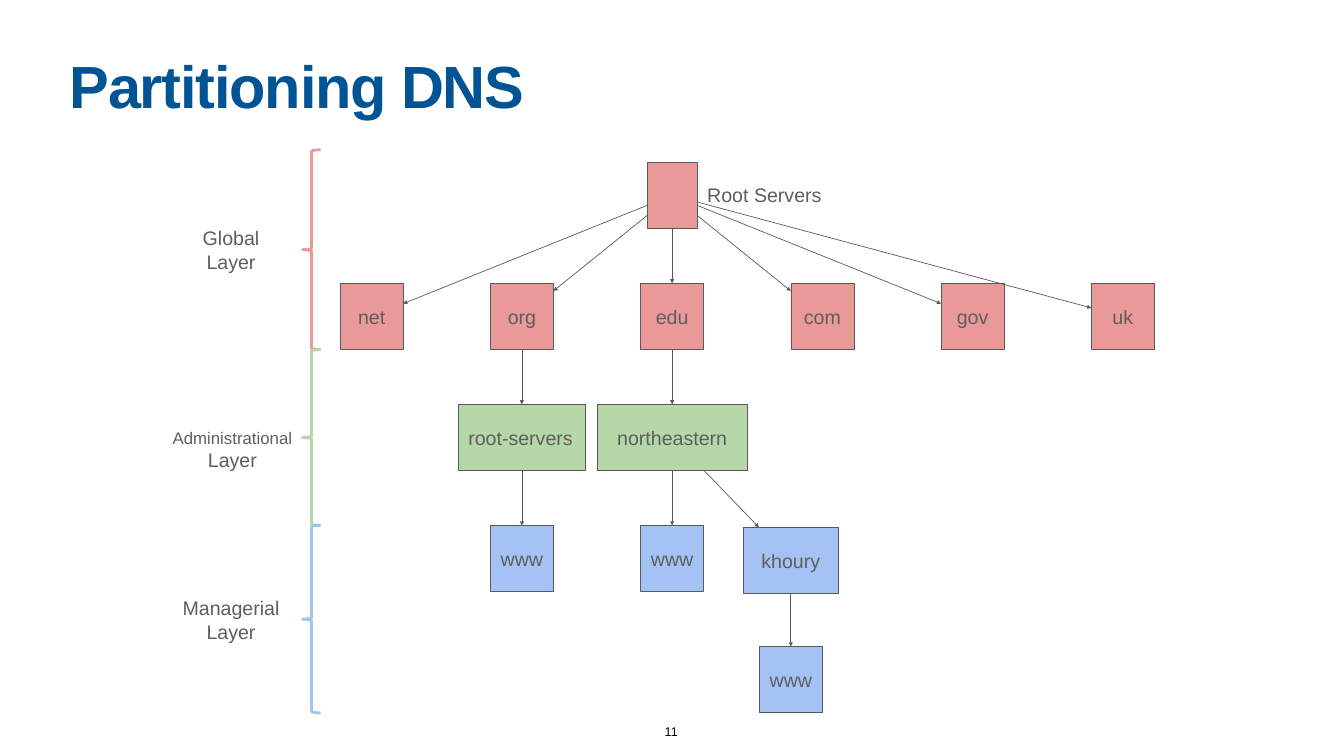
import dataclasses

import pptx
import pptx.dml.color
import pptx.enum.shapes
import pptx.enum.text
import pptx.oxml.ns
import pptx.util
from lxml import etree

Pt = pptx.util.Pt
ALIGN = pptx.enum.text.PP_ALIGN
ANCHOR = pptx.enum.text.MSO_ANCHOR
SHAPE = pptx.enum.shapes.MSO_SHAPE


@dataclasses.dataclass(frozen=True)
class Theme:
    font: str = "Arial"
    title: str = "005493"
    text: str = "5E5E5E"
    number: str = "000000"
    outline: str = "595959"
    red: str = "EA9999"
    green: str = "B6D7A8"
    blue: str = "A4C2F4"
    blue_brace: str = "9FC5E8"
    title_size: int = 85
    body_size: int = 28
    small_size: int = 24
    number_size: int = 18


THEME = Theme()
COLUMN_PITCH = 214.6
ROW_PITCH = 173
NODE_HEIGHT = 94.5
NODE_WIDTH = 90

# key: (label, column, row, width, colour, horizontal shift, vertical shift)
NODES = {
    "root": ("", 2, 0, 71.5, THEME.red),
    "net": ("net", 0, 1, NODE_WIDTH, THEME.red),
    "org": ("org", 1, 1, NODE_WIDTH, THEME.red),
    "edu": ("edu", 2, 1, NODE_WIDTH, THEME.red),
    "com": ("com", 3, 1, NODE_WIDTH, THEME.red),
    "gov": ("gov", 4, 1, NODE_WIDTH, THEME.red),
    "uk": ("uk", 5, 1, NODE_WIDTH, THEME.red),
    "root-servers": ("root-servers", 1, 2, 182, THEME.green),
    "northeastern": ("northeastern", 2, 2, 214.6, THEME.green),
    "org www": ("www", 1, 3, NODE_WIDTH, THEME.blue),
    "edu www": ("www", 2, 3, NODE_WIDTH, THEME.blue),
    "khoury": ("khoury", 2.79, 3.015, 134.6, THEME.blue),
    "khoury www": ("www", 2.79, 4, NODE_WIDTH, THEME.blue),
}
EDGES = [("root", name) for name in ("net", "org", "edu", "com", "gov", "uk")] + [
    ("org", "root-servers"),
    ("edu", "northeastern"),
    ("root-servers", "org www"),
    ("northeastern", "edu www"),
    ("northeastern", "khoury"),
    ("khoury", "khoury www"),
]


def rgb(colour):
    return pptx.dml.color.RGBColor.from_string(colour)


def add_run(paragraph, text, size, colour, bold=False):
    run = paragraph.add_run()
    run.text = text
    run.font.name = THEME.font
    run.font.size = Pt(size)
    run.font.bold = bold
    run.font.color.rgb = rgb(colour)
    return run


def set_frame(frame, anchor, side, edge):
    frame.word_wrap = True
    frame.auto_size = pptx.enum.text.MSO_AUTO_SIZE.NONE
    frame.vertical_anchor = anchor
    frame.margin_left = frame.margin_right = Pt(side)
    frame.margin_top = frame.margin_bottom = Pt(edge)


def write_lines(frame, lines, alignment, colour=THEME.text):
    for index, (text, size) in enumerate(lines):
        paragraph = frame.add_paragraph() if index else frame.paragraphs[0]
        paragraph.alignment = alignment
        add_run(paragraph, text, size, colour)


def add_label(slide, box, lines, alignment=ALIGN.CENTER, colour=THEME.text):
    shape = slide.shapes.add_textbox(*map(Pt, box))
    set_frame(shape.text_frame, ANCHOR.MIDDLE, 0, 0)
    write_lines(shape.text_frame, lines, alignment, colour)


def add_title(slide, box, text):
    title = slide.shapes.title
    title.left, title.top, title.width, title.height = map(Pt, box)
    set_frame(title.text_frame, ANCHOR.TOP, 4.3, 4.3)
    paragraph = title.text_frame.paragraphs[0]
    paragraph.alignment = ALIGN.LEFT
    paragraph.line_spacing = 0.8
    run = add_run(paragraph, text, THEME.title_size, THEME.title, bold=True)
    run.font._element.set("spc", "-170")


def add_node(slide, box, label, colour):
    shape = slide.shapes.add_shape(SHAPE.RECTANGLE, *map(Pt, box))
    shape.shadow.inherit = False
    shape.fill.solid()
    shape.fill.fore_color.rgb = rgb(colour)
    shape.line.color.rgb = rgb(THEME.outline)
    shape.line.width = Pt(1)
    if label:
        left_aligned = label == "root-servers"
        set_frame(shape.text_frame, ANCHOR.MIDDLE, 14.4 if left_aligned else 0, 0)
        alignment = ALIGN.LEFT if left_aligned else ALIGN.CENTER
        write_lines(shape.text_frame, [(label, THEME.body_size)], alignment)


def centre(box):
    left, top, width, height = box
    return left + width / 2, top + height / 2


def border_point(box, target):
    x, y = centre(box)
    run, rise = target[0] - x, target[1] - y
    scale = 1 / max(abs(run) / (box[2] / 2), abs(rise) / (box[3] / 2))
    return x + run * scale, y + rise * scale


def add_arrow(slide, parent, child):
    points = border_point(parent, centre(child)) + border_point(child, centre(parent))
    straight = pptx.enum.shapes.MSO_CONNECTOR.STRAIGHT
    connector = slide.shapes.add_connector(straight, *map(Pt, points))
    connector.line.color.rgb = rgb(THEME.outline)
    connector.line.width = Pt(1)
    qn = pptx.oxml.ns.qn
    etree.SubElement(connector.line._get_or_add_ln(), qn("a:tailEnd"), type="triangle")
    etree.SubElement(connector._element.spPr, qn("a:effectLst"))


def add_tree(slide, box):
    left, top, width, height = box
    boxes = {}
    for key, (label, column, row, node_width, colour) in NODES.items():
        x = left + NODE_WIDTH / 2 + column * COLUMN_PITCH - node_width / 2
        boxes[key] = (x, top + row * ROW_PITCH, node_width, NODE_HEIGHT)
        add_node(slide, boxes[key], label, colour)
    for parent, child in EDGES:
        add_arrow(slide, boxes[parent], boxes[child])
    root_left, root_top, root_width, root_height = boxes["root"]
    label_box = (root_left + root_width + 14.4, root_top + 17, 210, 60)
    add_label(slide, label_box, [("Root Servers", THEME.body_size)], ALIGN.LEFT)


def add_layer(slide, box, lines, label_centre, colour):
    left, top, width, height = box
    brace_width = 26
    brace_box = (left + width - brace_width, top, brace_width, height)
    brace = slide.shapes.add_shape(SHAPE.LEFT_BRACE, *map(Pt, brace_box))
    brace.shadow.inherit = False
    brace.fill.background()
    brace.line.color.rgb = rgb(colour)
    brace.line.width = Pt(4)
    label_x, label_y = label_centre
    label_box = (left + label_x - 100, top + label_y - 46, 200, 92)
    add_label(slide, label_box, lines)


def build():
    presentation = pptx.Presentation()
    presentation.slide_width = Pt(1920)
    presentation.slide_height = Pt(1080)
    slide = presentation.slides.add_slide(presentation.slide_layouts[5])
    add_title(slide, (95, 85, 1730, 113), "Partitioning DNS")
    add_tree(slide, (486, 231.7, 1163, 787))
    body = THEME.body_size
    layers = [
        ("Global", body, 214, 285.5, (106, 142.5), THEME.red),
        ("Administrational", THEME.small_size, 499.5, 251, (108, 142.5), THEME.green),
        ("Managerial", body, 750.5, 268, (106, 134.5), THEME.blue_brace),
    ]
    for name, size, top, height, label_centre, colour in layers:
        lines = [(name, size), ("Layer", body)]
        add_layer(slide, (224, top, 234, height), lines, label_centre, colour)
    number = [("11", THEME.number_size)]
    add_label(slide, (944, 1030, 30, 30), number, colour=THEME.number)
    presentation.save("out.pptx")


if __name__ == "__main__":
    build()
